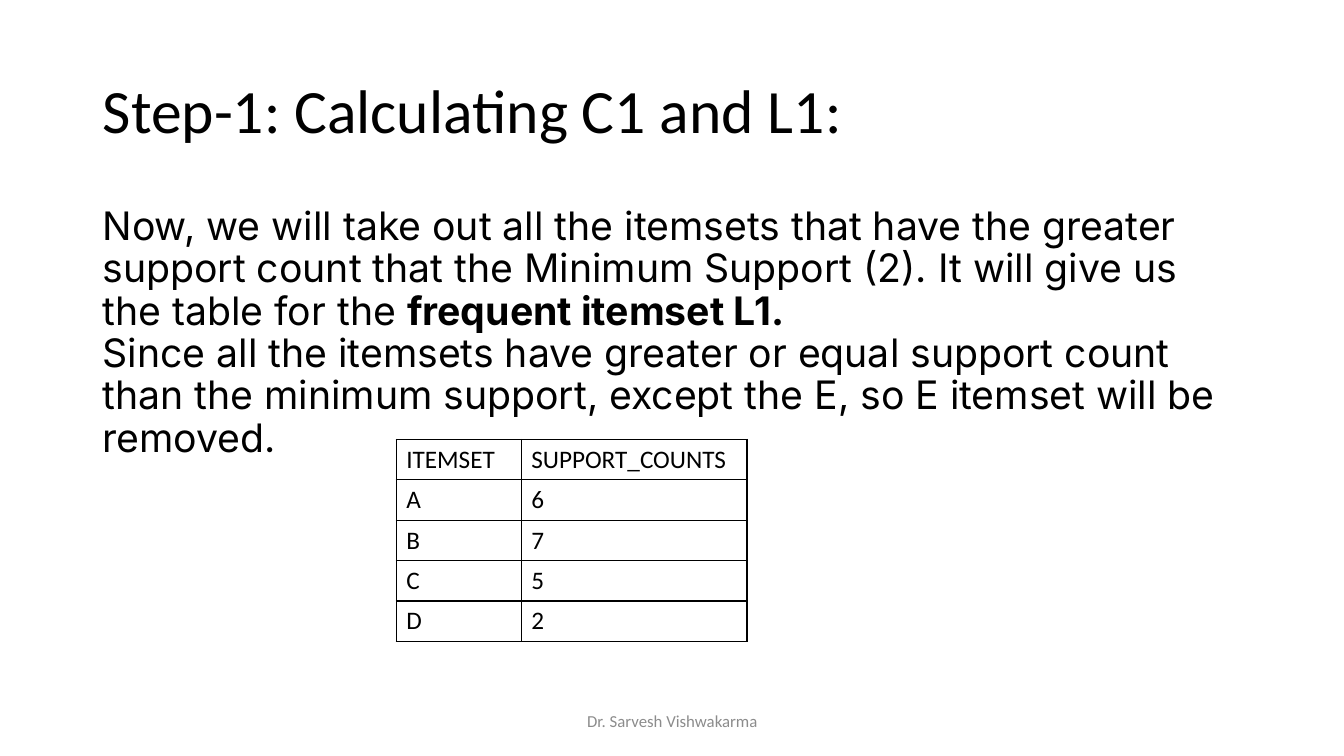
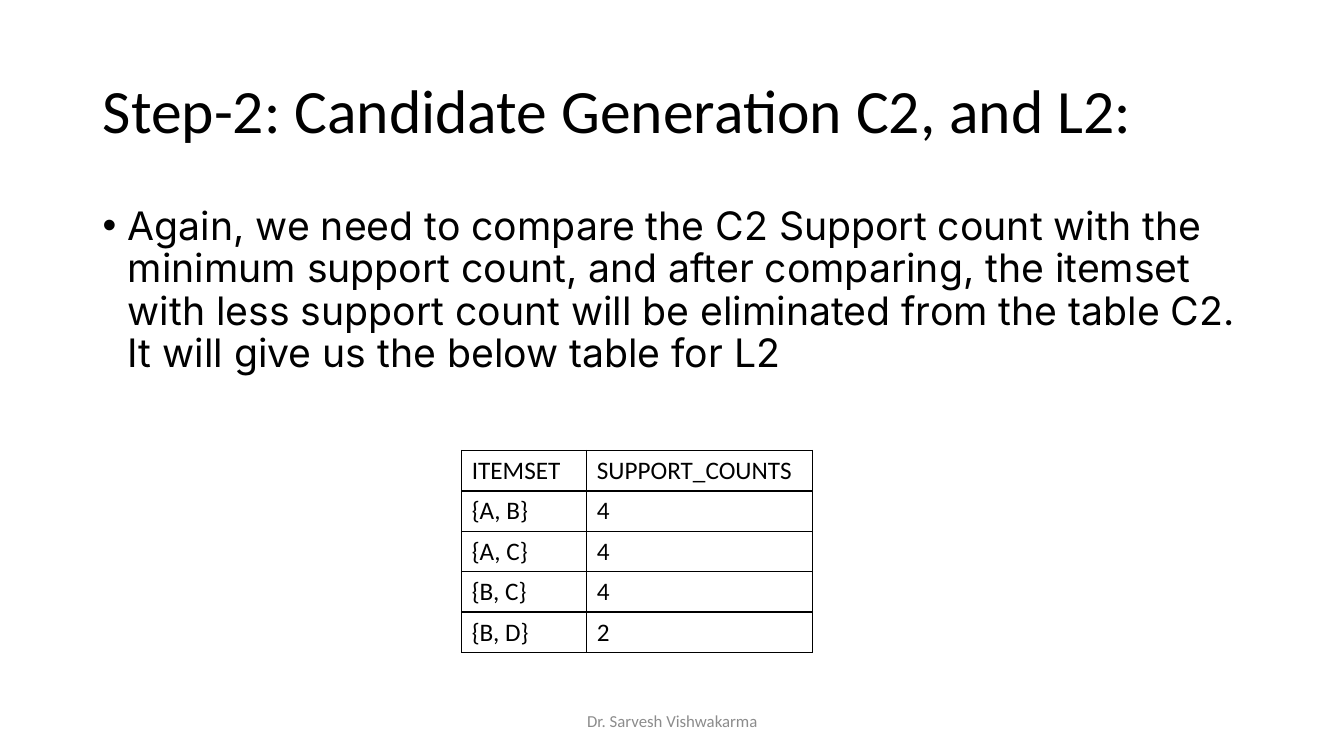
from dataclasses import dataclass

from lxml.etree import SubElement
from pptx import Presentation
from pptx.dml.color import RGBColor
from pptx.enum.text import MSO_ANCHOR, MSO_AUTO_SIZE, PP_ALIGN
from pptx.oxml import parse_xml
from pptx.oxml.ns import nsdecls, qn
from pptx.util import Inches, Pt


@dataclass(frozen=True)
class Theme:
    ink: str = "000000"
    muted: str = "8C8C8C"
    heading_font: str = "Calibri"
    body_font: str = "Inter"
    title_size: float = 44
    body_size: float = 28
    cell_size: float = 18
    footer_size: float = 12
    line_spacing: float = 0.9
    border_width: float = 1


@dataclass(frozen=True)
class Box:
    left: float
    top: float
    width: float
    height: float


@dataclass(frozen=True)
class Phrase:
    text: str
    bold: bool = False
    ends_line: bool = False


@dataclass(frozen=True)
class Step:
    title: str
    explanation: tuple[Phrase, ...]
    bulleted: bool
    counts: tuple[tuple[str, str], ...]
    table_left: float
    table_top: float


THEME = Theme()
TITLE_BOX = Box(0.92, 0.4, 11.5, 1.45)
BODY_BOX = Box(0.92, 2, 11.5, 4.76)
FOOTER_BOX = Box(4.42, 6.95, 4.5, 0.4)
COLUMN_WIDTHS = (1.24, 2.24)
ROW_HEIGHT = 0.4
BULLET_INDENT = 0.25
HEADER = ("ITEMSET", "SUPPORT_COUNTS")
FOOTER = "Dr. Sarvesh Vishwakarma"

STEPS = (
    Step(
        "Step-1: Calculating C1 and L1:",
        (
            Phrase("Now, we will take out all the itemsets that have the greater support count "
                   "that the Minimum Support (2). It will give us the table for the "),
            Phrase("frequent itemset L1.", bold=True, ends_line=True),
            Phrase("Since all the itemsets have greater or equal support count than the minimum "
                   "support, except the E, so E itemset will be removed."),
        ),
        False,
        (("A", "6"), ("B", "7"), ("C", "5"), ("D", "2")),
        3.93, 4.36,
    ),
    Step(
        "Step-2: Candidate Generation C2, and L2:",
        (
            Phrase("Again, we need to compare the C2 Support count with the minimum support count, "
                   "and after comparing, the itemset with less support count will be eliminated "
                   "from the table C2. It will give us the below table for L2"),
        ),
        True,
        (("{A, B}", "4"), ("{A, C}", "4"), ("{B, C}", "4"), ("{B, D}", "2")),
        4.58, 4.47,
    ),
)


def add_run(paragraph, text: str, font: str, size: float, color: str, bold: bool = False) -> None:
    run = paragraph.add_run()
    run.text = text
    run.font.name = font
    run.font.size = Pt(size)
    run.font.bold = bold
    run.font.color.rgb = RGBColor.from_string(color)


def add_text_area(slide, box: Box):
    area = slide.shapes.add_textbox(
        Inches(box.left), Inches(box.top), Inches(box.width), Inches(box.height))
    area.text_frame.word_wrap = True
    return area.text_frame


def add_title(slide, text: str) -> None:
    title = slide.shapes.title
    title.left, title.top = Inches(TITLE_BOX.left), Inches(TITLE_BOX.top)
    title.width, title.height = Inches(TITLE_BOX.width), Inches(TITLE_BOX.height)
    frame = title.text_frame
    frame.auto_size = MSO_AUTO_SIZE.NONE
    frame.word_wrap = True
    frame.vertical_anchor = MSO_ANCHOR.MIDDLE
    paragraph = frame.paragraphs[0]
    paragraph.alignment = PP_ALIGN.LEFT
    paragraph.line_spacing = THEME.line_spacing
    add_run(paragraph, text, THEME.heading_font, THEME.title_size, THEME.ink)


def add_bullet(paragraph) -> None:
    properties = paragraph._p.get_or_add_pPr()
    properties.set("marL", str(Inches(BULLET_INDENT)))
    properties.set("indent", str(-Inches(BULLET_INDENT)))
    SubElement(properties, qn("a:buFont"), typeface="Arial")
    SubElement(properties, qn("a:buChar"), char="•")


def add_explanation(slide, phrases: tuple[Phrase, ...], bulleted: bool) -> None:
    paragraph = add_text_area(slide, BODY_BOX).paragraphs[0]
    paragraph.line_spacing = THEME.line_spacing
    paragraph.space_before = Pt(10)
    if bulleted:
        add_bullet(paragraph)
    for phrase in phrases:
        add_run(paragraph, phrase.text, THEME.body_font, THEME.body_size, THEME.ink, phrase.bold)
        if phrase.ends_line:
            paragraph.add_line_break()


def add_borders(cell) -> None:
    properties = cell._tc.get_or_add_tcPr()
    for position, side in enumerate(("lnL", "lnR", "lnT", "lnB")):
        properties.insert(position, parse_xml(
            f'<a:{side} {nsdecls("a")} w="{Pt(THEME.border_width)}"><a:solidFill>'
            f'<a:srgbClr val="{THEME.ink}"/></a:solidFill></a:{side}>'))


def add_counts(slide, step: Step) -> None:
    rows = (HEADER, *step.counts)
    table = slide.shapes.add_table(
        len(rows), len(HEADER), Inches(step.table_left), Inches(step.table_top),
        Inches(sum(COLUMN_WIDTHS)), Inches(ROW_HEIGHT * len(rows))).table
    table.first_row = False
    table.horz_banding = False
    for column, width in zip(table.columns, COLUMN_WIDTHS):
        column.width = Inches(width)
    for row, values in zip(table.rows, rows):
        row.height = Inches(ROW_HEIGHT)
        for cell, value in zip(row.cells, values):
            cell.fill.background()
            add_borders(cell)
            add_run(cell.text_frame.paragraphs[0], value,
                    THEME.heading_font, THEME.cell_size, THEME.ink)


def add_footer(slide) -> None:
    frame = add_text_area(slide, FOOTER_BOX)
    frame.vertical_anchor = MSO_ANCHOR.MIDDLE
    paragraph = frame.paragraphs[0]
    paragraph.alignment = PP_ALIGN.CENTER
    add_run(paragraph, FOOTER, THEME.heading_font, THEME.footer_size, THEME.muted)


def add_step(presentation, step: Step) -> None:
    slide = presentation.slides.add_slide(presentation.slide_layouts.get_by_name("Title Only"))
    add_title(slide, step.title)
    add_explanation(slide, step.explanation, step.bulleted)
    add_counts(slide, step)
    add_footer(slide)


def main() -> None:
    presentation = Presentation()
    presentation.slide_width = Inches(13.33)
    presentation.slide_height = Inches(7.5)
    for step in STEPS:
        add_step(presentation, step)
    presentation.save("out.pptx")


if __name__ == "__main__":
    main()
